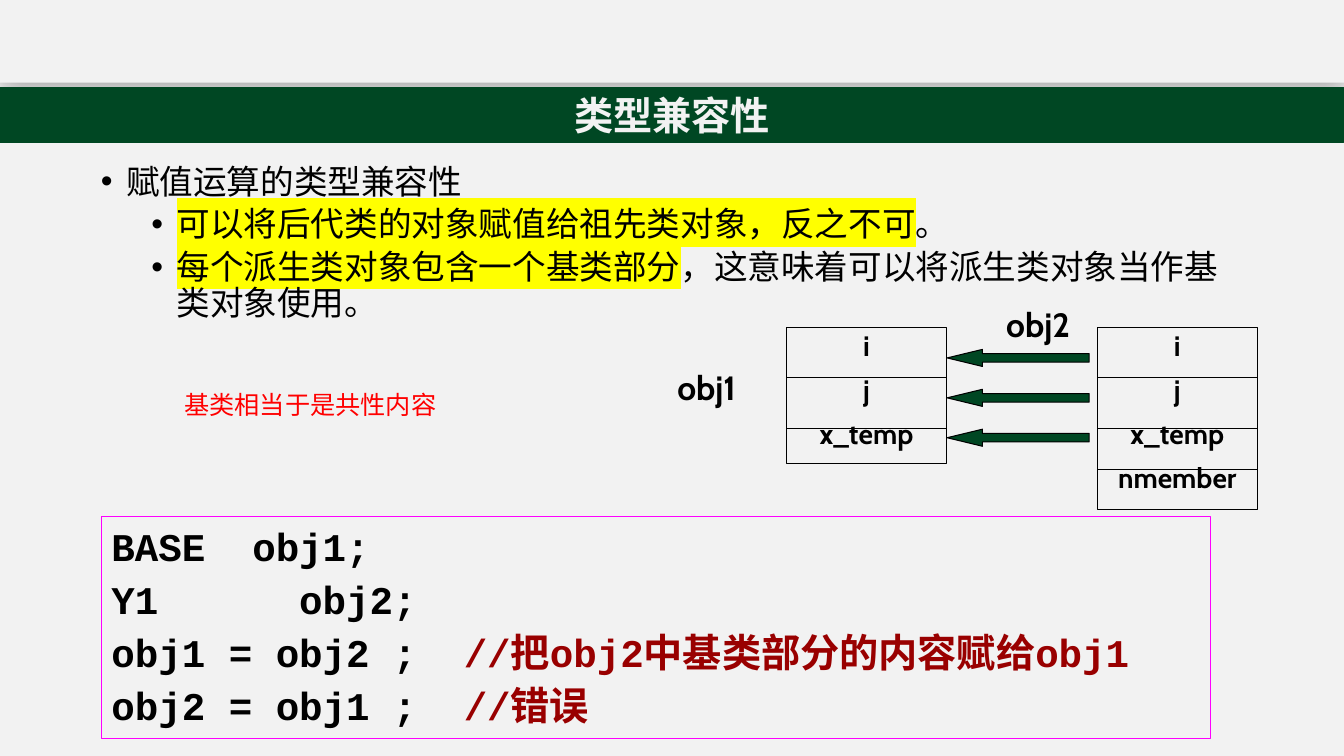
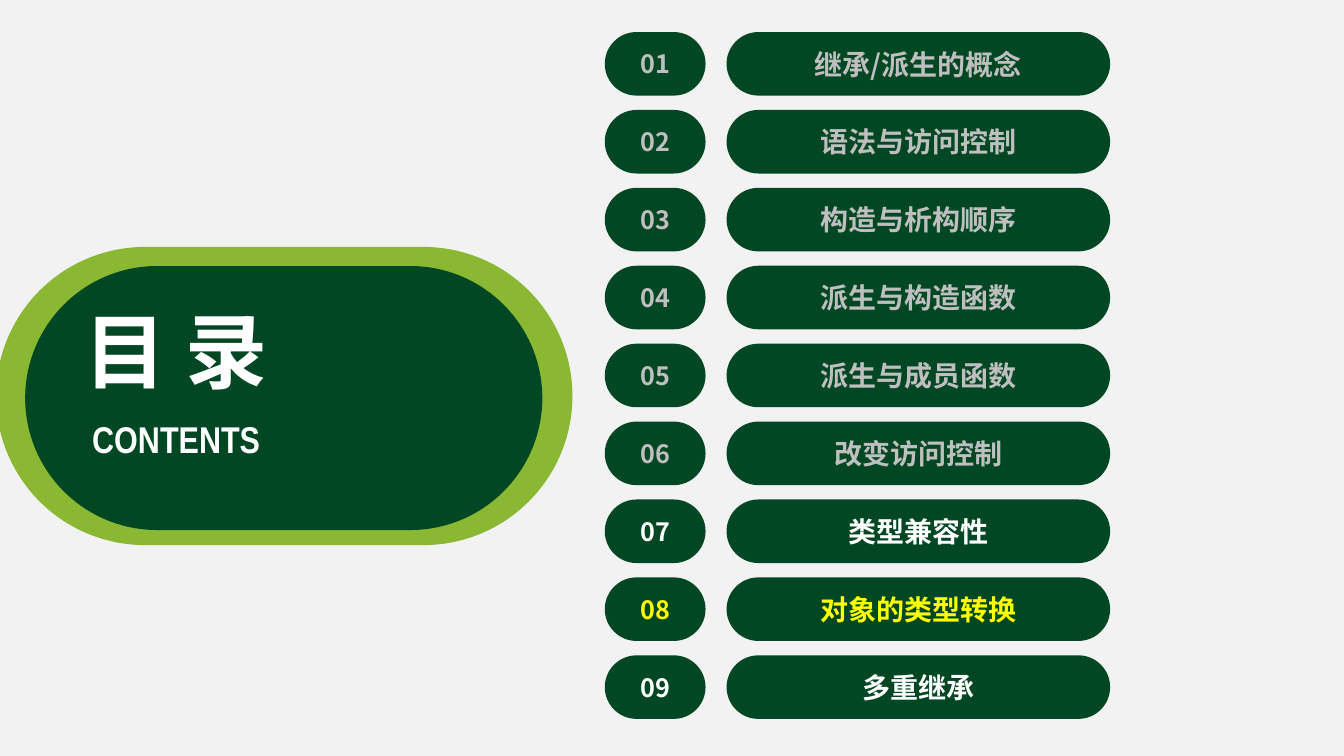
"""Build two slides on type compatibility of classes."""
from lxml.etree import SubElement
from pptx import Presentation
from pptx.dml.color import RGBColor
from pptx.enum.shapes import MSO_CONNECTOR, MSO_SHAPE
from pptx.enum.text import MSO_ANCHOR, PP_ALIGN
from pptx.oxml.ns import qn
from pptx.util import Pt

HAN, CABIN, CODE = "Noto Sans CJK SC", "Cabin", "Courier New"
DARK, PALE, BLACK, WHITE = "004723", "F2F2F2", "000000", "FFFFFF"
GREEN, LIME, GREY = "014723", "8AB833", "BFBFBF"
RED, BRICK, PINK, YELLOW = "FF0000", "990000", "FF00FF", "FFFF00"
WIDE, HIGH = 960, 540
LEFT, MID = PP_ALIGN.LEFT, PP_ALIGN.CENTER
TOP, CENTER = MSO_ANCHOR.TOP, MSO_ANCHOR.MIDDLE
RECT, PILL, ARROW = MSO_SHAPE.RECTANGLE, MSO_SHAPE.ROUNDED_RECTANGLE, MSO_SHAPE.LEFT_ARROW
color = RGBColor.from_string


def draw(slide, kind, x, y, w, h, fill=None, line=None, adj=()):
    area = Pt(x), Pt(y), Pt(w), Pt(h)
    if kind is None:
        return slide.shapes.add_textbox(*area)
    shape = slide.shapes.add_shape(kind, *area)
    shape.shadow.inherit = False
    if fill:
        shape.fill.solid()
        shape.fill.fore_color.rgb = color(fill)
    else:
        shape.fill.background()
    if line:
        shape.line.color.rgb = color(line)
        shape.line.width = Pt(0.75)
    else:
        shape.line.fill.background()
    for i, value in enumerate(adj):
        shape.adjustments[i] = value
    return shape


def write(shape, rows, size, face=HAN, bold=True, align=MID, anchor=CENTER,
          space=None, gap=0, wrap=True):
    frame = shape.text_frame
    frame.word_wrap = wrap
    frame.vertical_anchor = anchor
    for i, row in enumerate(rows):
        para = frame.add_paragraph() if i else frame.paragraphs[0]
        para.alignment = align
        para.line_spacing = space
        para.space_before = Pt(gap if i else 0)
        for text, tint, *mark in row:
            run = para.add_run()
            run.text = text
            font = run.font
            font.size = Pt(size)
            font.bold = bold
            font.color.rgb = color(tint)
            props = run._r.get_or_add_rPr()
            if mark:
                light = SubElement(props, qn("a:highlight"))
                SubElement(light, qn("a:srgbClr"), val=mark[0])
            font.name = face
            SubElement(props, qn("a:ea"), typeface=HAN)


deck = Presentation()
deck.slide_width, deck.slide_height = Pt(WIDE), Pt(HIGH)
back = deck.slide_master.background.fill
back.solid()
back.fore_color.rgb = color(PALE)
blank = deck.slide_layouts[6]

slide = deck.slides.add_slide(blank)
band = draw(slide, RECT, 0, -3.6, WIDE, 62.6, PALE)
glow = SubElement(band._element.spPr.find(qn("a:effectLst")), qn("a:outerShdw"),
                  blurRad=str(Pt(18)), dist=str(Pt(4)), dir="5400000",
                  algn="t", rotWithShape="0")
tone = SubElement(glow, qn("a:srgbClr"), val=BLACK)
SubElement(tone, qn("a:alpha"), val="29000")
title = draw(slide, RECT, 0, 62.4, WIDE, 39.4, DARK, DARK)
write(title, [[("类型兼容性", PALE)]], 28)

points = [
    [("赋值运算的类型兼容性", BLACK)],
    [("可以将后代类的对象赋值给祖先类对象，反之不可", BLACK, YELLOW), ("。", BLACK)],
    [("每个派生类对象包含一个基类部分", BLACK, YELLOW),
     ("，这意味着可以将派生类对象当作基类对象使用。", BLACK)],
]
body = draw(slide, None, 65, 114.5, 824.4, 221)
write(body, points, 24, bold=False, align=LEFT, anchor=TOP, space=0.9, gap=4.5)
for i, para in enumerate(body.text_frame.paragraphs):
    props = para._p.get_or_add_pPr()
    props.set("marL", str(Pt(54 if i else 18)))
    props.set("indent", str(Pt(-18)))
    if i:
        para.level = 1
    SubElement(props, qn("a:buFont"), typeface="Arial")
    SubElement(props, qn("a:buChar"), char="•")

names = ["i", "j", "x_temp", "nmember"]
lines = [269.8, 305.8, 335.5]
for x, h, count in [(562, 97, 3), (784, 130, 4)]:
    store = draw(slide, RECT, x, 234, 114, h, line=BLACK)
    write(store, [[(name, BLACK)] for name in names[:count]], 20, CABIN,
          anchor=TOP, space=0.9, gap=9.7)
    for y in lines[:count - 1]:
        rule = slide.shapes.add_connector(
            MSO_CONNECTOR.STRAIGHT, Pt(x), Pt(y), Pt(x + 114), Pt(y))
        rule.line.color.rgb = color(BLACK)
        rule.line.width = Pt(0.75)
        SubElement(rule._element.spPr, qn("a:effectLst"))
for name, x, y in [("obj1", 468.7, 262), ("obj2", 705.6, 216.7)]:
    label = draw(slide, None, x, y, 72, 33)
    write(label, [[(name, BLACK)]], 24, CABIN, anchor=TOP, space=0.9)
for i in range(3):
    draw(slide, ARROW, 676.5, 249.6 + 28.5 * i, 101.5, 12.2, DARK, BLACK, (0.5, 2.07))

code = [
    [("BASE  obj1;", BLACK)],
    [("Y1      obj2;", BLACK)],
    [("obj1 = obj2 ;  ", BLACK), ("//把obj2中基类部分的内容赋给obj1", BRICK)],
    [("obj2 = obj1 ;  ", BLACK), ("//错误", BRICK)],
]
panel = draw(slide, RECT, 72.5, 369, 792, 158.5, line=PINK)
panel.text_frame.margin_top = Pt(0)
write(panel, code, 28, CODE, align=LEFT, anchor=TOP, space=Pt(37.8))
note = draw(slide, None, 124.6, 274.3, 194.4, 29)
write(note, [[("基类相当于是共性内容", RED)]], 18, bold=False, align=LEFT,
      anchor=TOP, wrap=False)

slide = deck.slides.add_slide(blank)
draw(slide, PILL, -2.9, 176.4, 411.8, 213, LIME, adj=[0.5])
draw(slide, PILL, 18, 190, 369.4, 188.6, GREEN, adj=[0.5])
for text, size, face, x, y, w, h in [
    ("目 录", 58.6, HAN, 50.4, 211, 150.5, 78.5),
    ("CONTENTS", 26.6, "Arial Narrow", 44.6, 293.8, 162.7, 39.6),
]:
    head = draw(slide, None, x, y, w, h)
    write(head, [[(text, WHITE)]], size, face, anchor=TOP, wrap=False)

topics = ["继承/派生的概念", "语法与访问控制", "构造与析构顺序",
          "派生与构造函数", "派生与成员函数", "改变访问控制",
          "类型兼容性", "对象的类型转换", "多重继承"]
tints = [GREY] * 6 + [WHITE, YELLOW, WHITE]
for i, (topic, tint) in enumerate(zip(topics, tints)):
    for text, size, x, w in [(f"{i + 1:02}", 18, 432, 72), (topic, 20, 519, 274)]:
        pill = draw(slide, PILL, x, 22.9 + 55.65 * i, w, 45.4, GREEN, adj=[0.5])
        write(pill, [[(text, tint)]], size)

deck.save("out.pptx")
